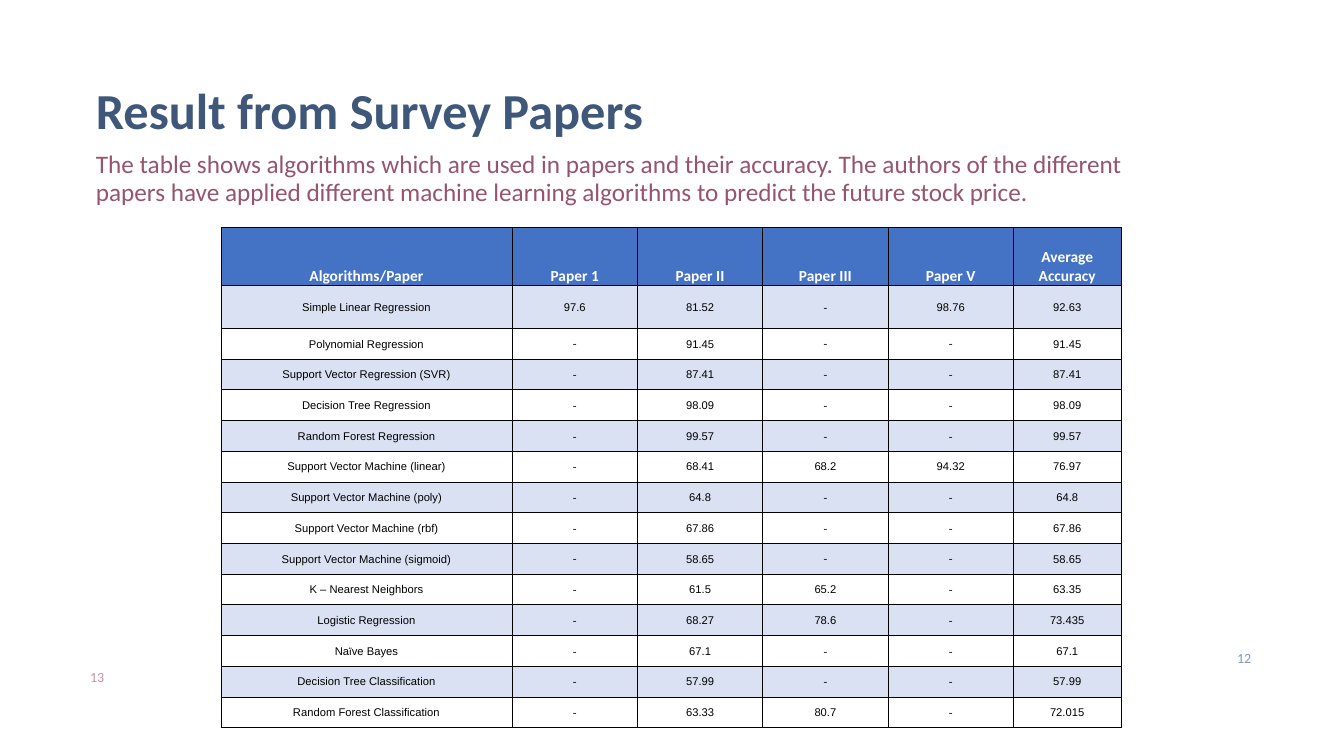
from dataclasses import dataclass
from itertools import groupby
from typing import Any, NamedTuple

from lxml.etree import SubElement
from pptx import Presentation
from pptx.dml.color import RGBColor
from pptx.enum.text import MSO_ANCHOR, PP_ALIGN
from pptx.oxml.ns import qn
from pptx.slide import Slide
from pptx.table import _Cell
from pptx.text.text import TextFrame, _Paragraph
from pptx.util import Emu, Inches, Pt

SLIDE_WIDTH, SLIDE_HEIGHT = Inches(13.33), Inches(7.5)


class TextStyle(NamedTuple):
    font: str
    size: float
    color: str
    bold: bool = False


@dataclass(frozen=True)
class Theme:
    title: TextStyle = TextStyle("Calibri", 36, "3F5779", True)
    body: TextStyle = TextStyle("Calibri", 18, "96556D")
    rose_number: TextStyle = TextStyle("Calibri", 10, "C396A7")
    blue_number: TextStyle = TextStyle("Calibri", 10, "7E98BC")
    header: TextStyle = TextStyle("Calibri", 11, "FFFFFF", True)
    entry: TextStyle = TextStyle("Arial", 8, "000000")
    dash: TextStyle = TextStyle("Times New Roman", 8, "000000")
    accent: TextStyle = TextStyle("Calibri", 8, "000000")
    header_fill: str = "4472C4"
    band_fill: str = "D9E1F2"
    border: str = "000000"
    border_width: float = 0.5


THEME = Theme()


class Area(NamedTuple):
    """Left, top, width and height in percent of the slide's size."""
    left: float
    top: float
    width: float
    height: float

    def lengths(self) -> list[Emu]:
        sides = (SLIDE_WIDTH, SLIDE_HEIGHT) * 2
        return [Emu(round(side * share / 100)) for side, share in zip(sides, self)]


class Label(NamedTuple):
    text: str
    area: Area
    style: TextStyle
    inset: float
    align: PP_ALIGN = PP_ALIGN.LEFT
    anchor: MSO_ANCHOR = MSO_ANCHOR.TOP
    line_spacing: float = 1.0


class Result(NamedTuple):
    algorithm: str
    paper_1: str
    paper_2: str
    paper_3: str
    paper_5: str
    average: str


LABELS = [
    Label("Result from Survey Papers", Area(6.83, 10.8, 78.24, 8.27), THEME.title,
          0.04, anchor=MSO_ANCHOR.MIDDLE, line_spacing=0.9),
    Label("The table shows algorithms which are used in papers and their accuracy. "
          "The authors of the different papers have applied different machine learning "
          "algorithms to predict the future stock price.",
          Area(6.83, 20.13, 78.24, 10.13), THEME.body, 0.04, line_spacing=0.9),
    Label("13", Area(5.25, 88.4, 3.23, 3.47), THEME.rose_number, 0.1, PP_ALIGN.CENTER),
    Label("12", Area(84.25, 84.67, 8.85, 3.47), THEME.blue_number, 0.1,
          PP_ALIGN.RIGHT, MSO_ANCHOR.BOTTOM),
]

HEADER = Result("Algorithms/Paper", "Paper 1", "Paper II", "Paper III", "Paper V",
                "Average Accuracy")
RESULTS = [
    Result("Simple Linear Regression", "97.6", "81.52", "-", "98.76", "92.63"),
    Result("Polynomial Regression", "-", "91.45", "-", "-", "91.45"),
    Result("Support Vector Regression (SVR)", "-", "87.41", "-", "-", "87.41"),
    Result("Decision Tree Regression", "-", "98.09", "-", "-", "98.09"),
    Result("Random Forest Regression", "-", "99.57", "-", "-", "99.57"),
    Result("Support Vector Machine (linear)", "-", "68.41", "68.2", "94.32", "76.97"),
    Result("Support Vector Machine (poly)", "-", "64.8", "-", "-", "64.8"),
    Result("Support Vector Machine (rbf)", "-", "67.86", "-", "-", "67.86"),
    Result("Support Vector Machine (sigmoid)", "-", "58.65", "-", "-", "58.65"),
    Result("K – Nearest Neighbors", "-", "61.5", "65.2", "-", "63.35"),
    Result("Logistic Regression", "-", "68.27", "78.6", "-", "73.435"),
    Result("Naïve Bayes", "-", "67.1", "-", "-", "67.1"),
    Result("Decision Tree Classification", "-", "57.99", "-", "-", "57.99"),
    Result("Random Forest Classification", "-", "63.33", "80.7", "-", "72.015"),
]

TABLE_AREA = Area(16.43, 30.13, 66.99, 66.13)
# Shares of the table's width and height, in percent
COLUMN_SHARES = [32.36, *[13.92] * 4, 11.96]
TOP_ROW_SHARES = [11.5, 8.6]
OTHER_ROWS = len(RESULTS) - 1
ROW_SHARES = TOP_ROW_SHARES + [(100 - sum(TOP_ROW_SHARES)) / OTHER_ROWS] * OTHER_ROWS


def set_all(target: Any, values: dict[str, Any]) -> None:
    for name, value in values.items():
        setattr(target, name, value)


def add_run(p: _Paragraph, text: str, style: TextStyle) -> None:
    r = p.add_run()
    r.text = text
    set_all(r.font, {"name": style.font, "size": Pt(style.size), "bold": style.bold})
    r.font.color.rgb = RGBColor.from_string(style.color)


def add_label(s: Slide, label: Label) -> None:
    tf: TextFrame = s.shapes.add_textbox(*label.area.lengths()).text_frame
    set_all(tf, {"word_wrap": True, "vertical_anchor": label.anchor,
                 "margin_left": Inches(label.inset), "margin_top": 0,
                 "margin_right": 0, "margin_bottom": 0})
    p = tf.paragraphs[0]
    set_all(p, {"alignment": label.align, "line_spacing": label.line_spacing})
    add_run(p, label.text, label.style)


def add_borders(cell: _Cell) -> None:
    properties = cell._tc.get_or_add_tcPr()
    for position, side in enumerate(("lnL", "lnR", "lnT", "lnB")):
        line = SubElement(properties, qn(f"a:{side}"), w=str(Pt(THEME.border_width)))
        fill = SubElement(line, qn("a:solidFill"))
        SubElement(fill, qn("a:srgbClr"), val=THEME.border)
        properties.insert(position, line)


def fill_cell(cell: _Cell, text: str, style: TextStyle, anchor: MSO_ANCHOR,
              color: str | None) -> None:
    edge = Inches(0.01)
    set_all(cell, {"vertical_anchor": anchor, "margin_left": edge, "margin_top": edge,
                   "margin_right": edge, "margin_bottom": 0})
    if color:
        cell.fill.solid()
        cell.fill.fore_color.rgb = RGBColor.from_string(color)
    else:
        cell.fill.background()
    add_borders(cell)
    p = cell.text_frame.paragraphs[0]
    p.alignment = PP_ALIGN.CENTER
    for accented, letters in groupby(text, lambda letter: letter == "ï"):
        add_run(p, "".join(letters), THEME.accent if accented else style)


def add_results_table(s: Slide) -> None:
    left, top, width, height = TABLE_AREA.lengths()
    table = s.shapes.add_table(len(ROW_SHARES), len(COLUMN_SHARES),
                               left, top, width, height).table
    table.horz_banding = False
    for column, share in zip(table.columns, COLUMN_SHARES):
        column.width = Emu(round(width * share / 100))
    for row, share in zip(table.rows, ROW_SHARES):
        row.height = Emu(round(height * share / 100))
    for cell, text in zip(table.rows[0].cells, HEADER):
        fill_cell(cell, text, THEME.header, MSO_ANCHOR.BOTTOM, THEME.header_fill)
    for number, result in enumerate(RESULTS, start=1):
        band = THEME.band_fill if number % 2 else None
        for cell, text in zip(table.rows[number].cells, result):
            style = THEME.dash if text == "-" else THEME.entry
            fill_cell(cell, text, style, MSO_ANCHOR.MIDDLE, band)


def main() -> None:
    prs = Presentation()
    set_all(prs, {"slide_width": SLIDE_WIDTH, "slide_height": SLIDE_HEIGHT})
    s = prs.slides.add_slide(prs.slide_layouts[6])
    for label in LABELS:
        add_label(s, label)
    add_results_table(s)
    prs.save("out.pptx")


if __name__ == "__main__":
    main()
